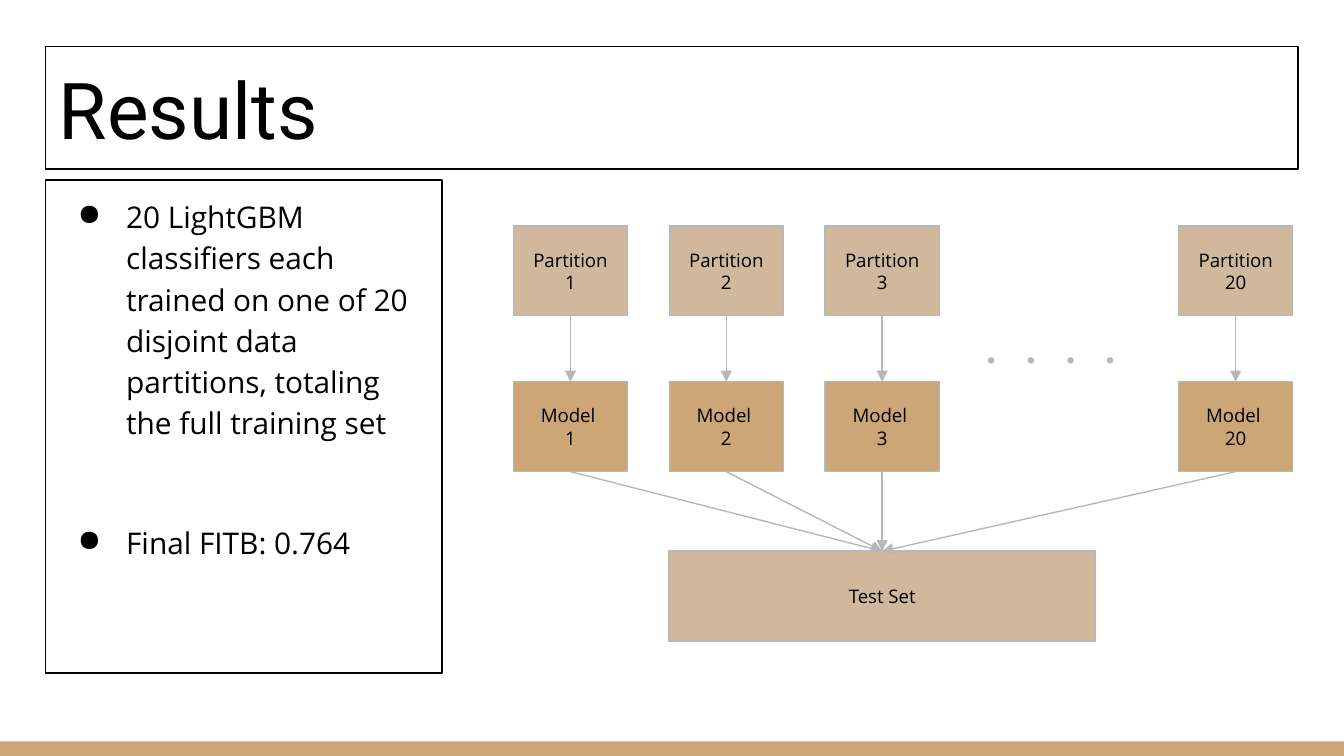
"""Build a results slide: findings on the left, model ensemble diagram on the right."""
from dataclasses import dataclass

from lxml.etree import SubElement
from pptx import Presentation
from pptx.dml.color import RGBColor
from pptx.enum.shapes import MSO_CONNECTOR as Link, MSO_SHAPE as Kind
from pptx.enum.text import MSO_ANCHOR as Anchor, PP_ALIGN as Align
from pptx.oxml.ns import qn
from pptx.util import Pt

BLACK, GRAY, TAN, GOLD = "000000", "B7B7B7", "CFB89C", "CCA677"
WIDE, HIGH = 61.2, 48.2
PART_TOP, MODEL_TOP, TEST_TOP = 121, 204.5, 295.3


@dataclass
class Box:
    left: float
    top: float
    width: float
    height: float
    text: str = ""
    fill: str | None = None
    line: str | None = GRAY
    size: float = 10
    font: str = "Open Sans"
    color: str = BLACK
    align: Align = Align.CENTER
    anchor: Anchor = Anchor.MIDDLE


def paint(target, color: str) -> None:
    target.rgb = RGBColor.from_string(color)


def draw_box(slide, box: Box):
    shape = slide.shapes.add_shape(
        Kind.RECTANGLE, Pt(box.left), Pt(box.top), Pt(box.width), Pt(box.height))
    shape.shadow.inherit = False
    if box.fill:
        shape.fill.solid()
        paint(shape.fill.fore_color, box.fill)
    else:
        shape.fill.background()
    if box.line:
        shape.line.width = Pt(0.75)
        paint(shape.line.color, box.line)
    else:
        shape.line.fill.background()
    frame = shape.text_frame
    frame.word_wrap = True
    frame.vertical_anchor = box.anchor
    frame.margin_left = frame.margin_right = Pt(7.2)
    frame.margin_top = frame.margin_bottom = Pt(7.2)
    frame.text = box.text
    for par in frame.paragraphs:
        par.alignment = box.align
        for run in par.runs:
            run.font.size = Pt(box.size)
            run.font.name = box.font
            paint(run.font.color, box.color)
    return shape


def draw_arrow(slide, x1: float, y1: float, x2: float, y2: float) -> None:
    arrow = slide.shapes.add_connector(Link.STRAIGHT, Pt(x1), Pt(y1), Pt(x2), Pt(y2))
    arrow.line.width = Pt(0.75)
    paint(arrow.line.color, GRAY)
    SubElement(arrow.line._get_or_add_ln(), qn("a:tailEnd"), type="triangle")
    SubElement(arrow._element.spPr, qn("a:effectLst"))


def draw_list(slide) -> None:
    items = ("20 LightGBM classifiers each trained on one of 20 disjoint data "
             "partitions, totaling the full training set", "Final FITB: 0.764")
    shape = draw_box(slide, Box(24.5, 96.5, 212.4, 264.2, "\n".join(items),
                                line=BLACK, size=16, align=Align.LEFT, anchor=Anchor.TOP))
    pars = shape.text_frame.paragraphs
    for par in pars:
        par.line_spacing = 1.15
        props = par._p.get_or_add_pPr()
        props.set("marL", str(Pt(36)))
        props.set("indent", str(-Pt(26)))
        SubElement(props, qn("a:buChar"), char="●")
    pars[-1].space_before = Pt(42)


def draw_dots(slide) -> None:
    shape = draw_box(slide, Box(519, 172, 88, 29.5, ". . . .",
                                line=None, size=20, color=GRAY))
    shape.text_frame.word_wrap = False
    font = shape.text_frame.paragraphs[0].runs[0].font
    font.bold = True
    font._element.set("spc", "520")


def draw_graph(slide) -> None:
    lefts = [275 + 83.5 * i for i in range(3)] + [631.4]
    hub = lefts[2] + WIDE / 2
    draw_box(slide, Box(lefts[1], TEST_TOP, 228.3, HIGH, "Test Set", TAN))
    for left, num in zip(lefts, (1, 2, 3, 20)):
        mid = left + WIDE / 2
        draw_box(slide, Box(left, PART_TOP, WIDE, HIGH, f"Partition {num}", TAN))
        draw_box(slide, Box(left, MODEL_TOP, WIDE, HIGH, f"Model \n{num}", GOLD))
        draw_arrow(slide, mid, PART_TOP + HIGH, mid, MODEL_TOP)
        draw_arrow(slide, mid, MODEL_TOP + HIGH, hub, TEST_TOP)


def main() -> None:
    deck = Presentation()
    deck.slide_width, deck.slide_height = Pt(720), Pt(405)
    slide = deck.slides.add_slide(deck.slide_layouts[6])
    draw_box(slide, Box(0, 397.2, 720, 7.8, fill=GOLD, line=None))
    draw_box(slide, Box(24.5, 25, 671, 65.5, "Results", line=BLACK, size=42,
                        font="Roboto", align=Align.LEFT, anchor=Anchor.BOTTOM))
    draw_list(slide)
    draw_graph(slide)
    draw_dots(slide)
    deck.save("out.pptx")


if __name__ == "__main__":
    main()
